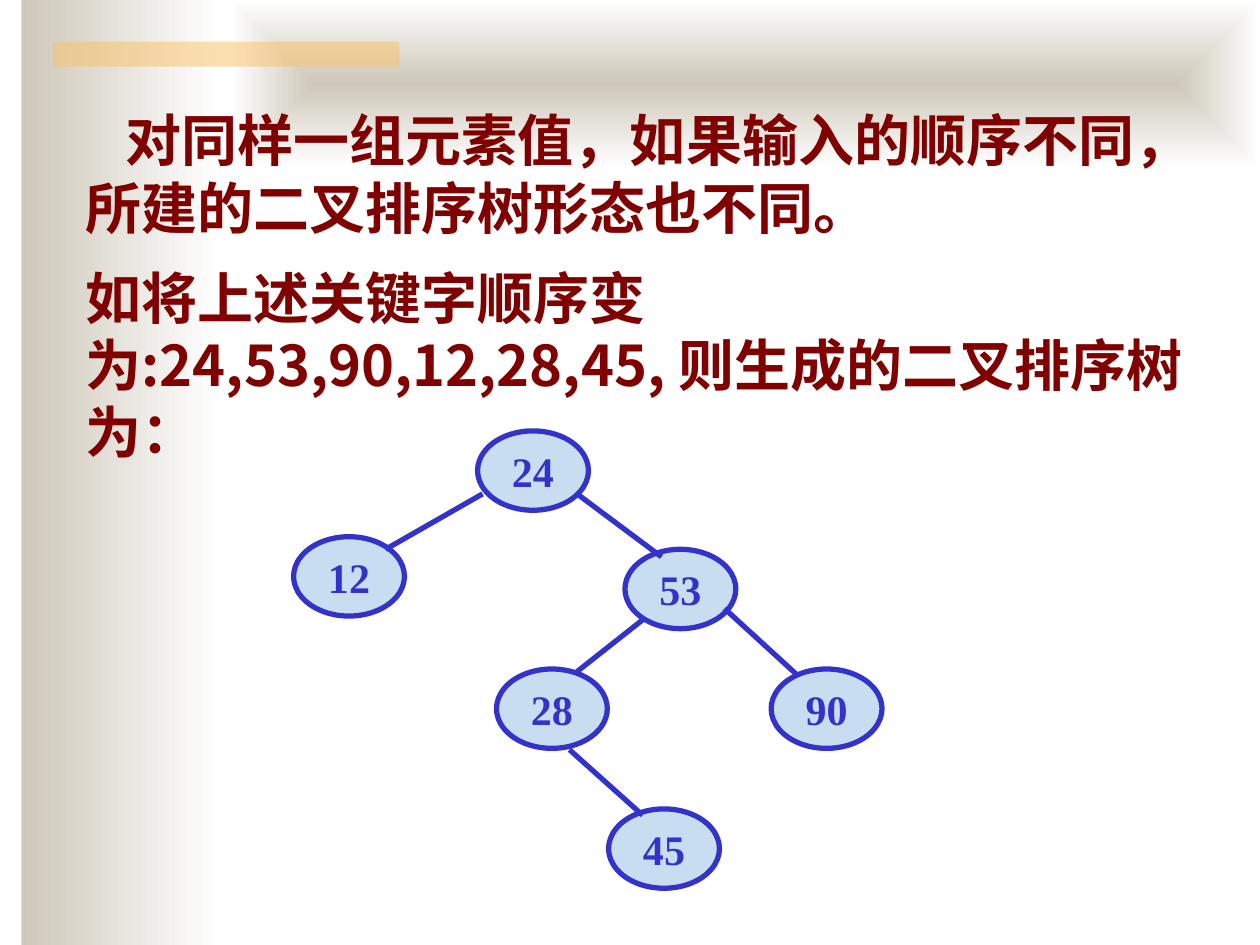
from lxml import etree
from pptx import Presentation
from pptx.dml.color import RGBColor
from pptx.enum.shapes import MSO_CONNECTOR, MSO_SHAPE
from pptx.enum.text import MSO_ANCHOR, MSO_AUTO_SIZE, PP_ALIGN
from pptx.oxml.ns import qn
from pptx.util import Inches, Pt

RECTANGLE, OVAL = MSO_SHAPE.RECTANGLE, MSO_SHAPE.OVAL
STRAIGHT = MSO_CONNECTOR.STRAIGHT
MIDDLE, TOP = MSO_ANCHOR.MIDDLE, MSO_ANCHOR.TOP
CENTER = PP_ALIGN.CENTER
GROW = MSO_AUTO_SIZE.SHAPE_TO_FIT_TEXT

STONE = RGBColor(0xCE, 0xC8, 0xBA)
WHITE = RGBColor(0xFF, 0xFF, 0xFF)
AMBER = RGBColor(0xFA, 0xC1, 0x64)
MAROON = RGBColor(0x80, 0x00, 0x00)
BLUE = RGBColor(0x33, 0x33, 0xCC)
PALE_BLUE = RGBColor(0xC9, 0xDD, 0xF1)

SLIDE_WIDTH, SLIDE_HEIGHT = 10, 7.5
BODY_FONT, NODE_FONT = "Noto Sans CJK SC", "Times New Roman"
BODY_LEFT = 0.58
NODE_WIDTH, NODE_HEIGHT = 0.88, 0.63
LINE_WIDTH = Pt(3)

STATEMENTS = [
    ("对同样一组元素值，如果输入的顺序不同，所建的二叉排序树形态也不同。", 0.75, 9.08, 1.17, 0.32),
    ("如将上述关键字顺序变为:24,53,90,12,28,45, 则生成的二叉排序树为：", 2, 9.25, 1.7, 0),
]
NODES = {
    "24": (3.79, 3.42),
    "12": (2.33, 4.26),
    "28": (3.94, 5.31),
    "53": (4.96, 4.36),
    "90": (6.12, 5.31),
    "45": (4.83, 6.42),
}
EDGES = [
    ((3.83, 3.92), (3.06, 4.36)),
    ((4.58, 3.92), (5.25, 4.42)),
    ((5.1, 4.92), (4.58, 5.33)),
    ((5.75, 4.83), (6.33, 5.36)),
    ((4.52, 5.95), (5.1, 6.47)),
]


def add_plain_shape(slide, kind, *box):
    shape = slide.shapes.add_shape(kind, *map(Inches, box))
    shape.shadow.inherit = False
    shape.line.fill.background()
    return shape


def fill_gradient(shape):
    shape.fill.gradient()
    shape.fill.gradient_angle = 0
    for stop, color in zip(shape.fill.gradient_stops, (STONE, WHITE)):
        stop.color.rgb = color


def add_background(slide):
    side = add_plain_shape(slide, RECTANGLE, 0.17, 0, 1.58, SLIDE_HEIGHT)
    fill_gradient(side)

    banner = add_plain_shape(slide, RECTANGLE, 1.83, 0, SLIDE_WIDTH - 1.83, 1.33)
    fill_gradient(banner)
    gradient = banner.element.spPr.find(qn("a:gradFill"))
    linear = gradient.find(qn("a:lin"))
    shape_path = etree.Element(qn("a:path"), path="shape")
    etree.SubElement(shape_path, qn("a:fillToRect"), l="50000", t="50000", r="50000", b="50000")
    gradient.replace(linear, shape_path)

    accent = add_plain_shape(slide, RECTANGLE, 0.42, 0.33, 2.75, 0.2)
    accent.fill.solid()
    accent.fill.fore_color.rgb = AMBER
    color = accent.element.spPr.find(qn("a:solidFill"))[0]
    etree.SubElement(color, qn("a:alpha"), val="50000")


def add_run(paragraph, text, font_name, size, color):
    run = paragraph.add_run()
    run.text = text
    run.font.name = font_name
    run.font.size = Pt(size)
    run.font.bold = True
    run.font.color.rgb = color
    return run


def add_statement(slide, text, top, width, height, indent):
    box = slide.shapes.add_textbox(*map(Inches, (BODY_LEFT, top, width, height)))
    frame = box.text_frame
    frame.word_wrap = True
    frame.auto_size = GROW
    frame.vertical_anchor = TOP
    frame.margin_top = Inches(0.09)
    paragraph = frame.paragraphs[0]
    paragraph.line_spacing = Pt(38.4)
    paragraph._p.get_or_add_pPr().set("indent", str(Inches(indent)))
    run = add_run(paragraph, text, BODY_FONT, 32, MAROON)
    etree.SubElement(run.font._element, qn("a:ea"), typeface=BODY_FONT)


def add_node(slide, key, left, top):
    node = add_plain_shape(slide, OVAL, left, top, NODE_WIDTH, NODE_HEIGHT)
    node.fill.solid()
    node.fill.fore_color.rgb = PALE_BLUE
    node.line.color.rgb = BLUE
    node.line.width = LINE_WIDTH
    frame = node.text_frame
    frame.word_wrap = False
    frame.vertical_anchor = MIDDLE
    paragraph = frame.paragraphs[0]
    paragraph.alignment = CENTER
    add_run(paragraph, key, NODE_FONT, 24, BLUE)


def add_edge(slide, start, end):
    edge = slide.shapes.add_connector(STRAIGHT, *map(Inches, start + end))
    edge.line.color.rgb = BLUE
    edge.line.width = LINE_WIDTH
    etree.SubElement(edge.element.spPr, qn("a:effectLst"))


def main():
    presentation = Presentation()
    presentation.slide_width = Inches(SLIDE_WIDTH)
    presentation.slide_height = Inches(SLIDE_HEIGHT)
    slide = presentation.slides.add_slide(presentation.slide_layouts[6])
    add_background(slide)
    for statement in STATEMENTS:
        add_statement(slide, *statement)
    for key, position in NODES.items():
        add_node(slide, key, *position)
    for start, end in EDGES:
        add_edge(slide, start, end)
    presentation.save("out.pptx")


if __name__ == "__main__":
    main()
